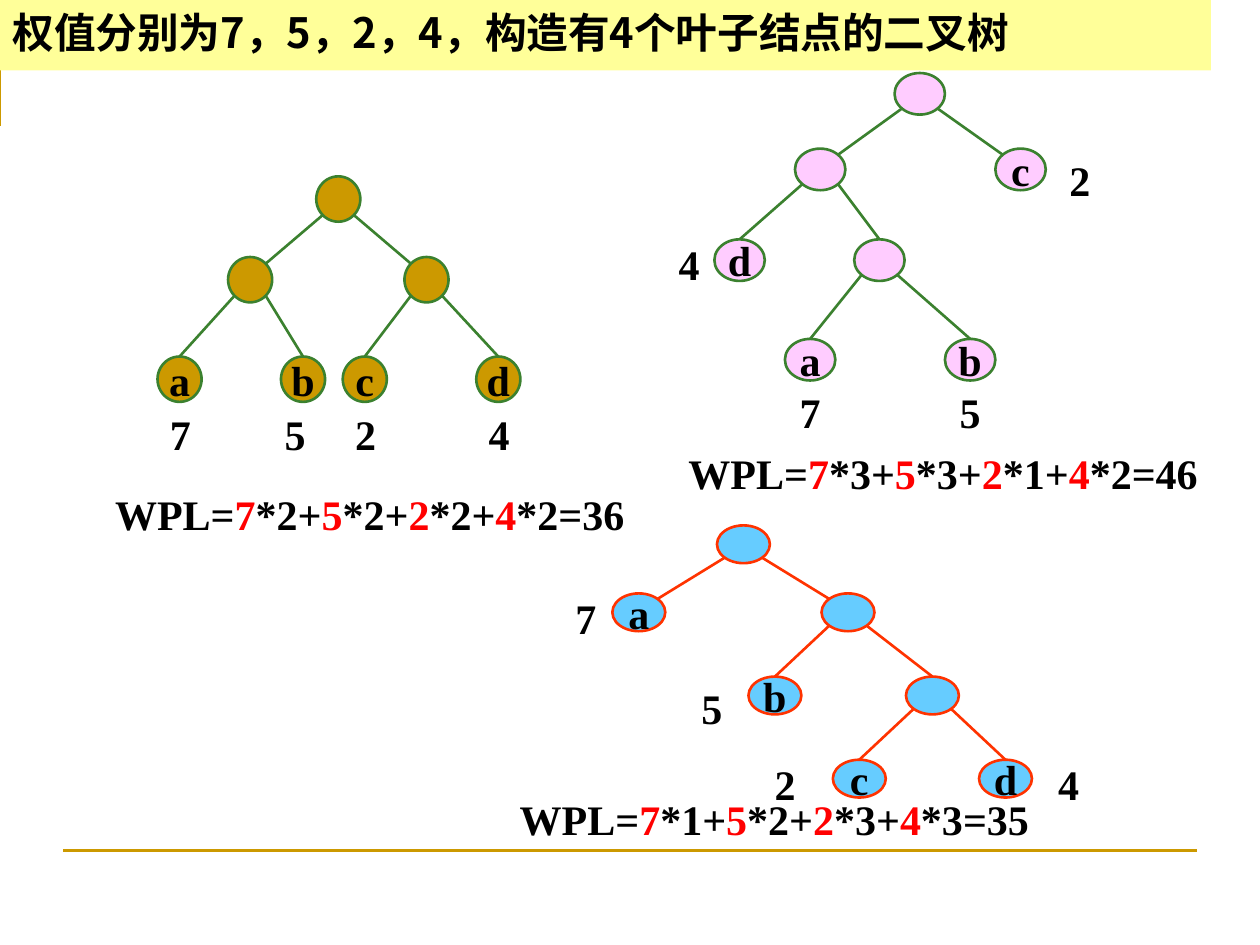
"""Build a slide comparing weighted path lengths of three binary trees."""
from math import sqrt

from lxml import etree
from pptx import Presentation
from pptx import util as u
from pptx.dml.color import RGBColor
from pptx.enum import shapes, text
from pptx.oxml import ns

COLORS = {"black": "000000", "red": "FF0000", "band": "FFFF99", "gold": "CC9900",
          "green": "3B812F", "pink": "FFCCFF", "sky": "66CCFF", "orange": "FF3300"}
LATIN, CHINESE = "Times New Roman", "Noto Sans CJK SC"
WIDTH, HEIGHT = 10, 7.5
LABEL_HEIGHT = 0.5
TITLE = "权值分别为7，5，2，4，构造有4个叶子结点的二叉树"

# Node: (left, row, parent index, leaf letter, weight, weight offset from the node)
TREES = [
    {"fill": "pink", "line": "green", "size": (0.4, 0.33), "rows": (0.58, 1.18, 1.9, 2.69),
     "nodes": [(7.1, 0, None), (6.31, 1, 0), (7.9, 1, 0, "c", "2", (0.47, 0)),
               (5.67, 2, 1, "d", "4", (-0.4, -0.06)), (6.78, 2, 1),
               (6.23, 3, 4, "a", "7", (0, 0.33)), (7.5, 3, 4, "b", "5", (0, 0.33))],
     "formula": ["WPL=", "7", "*3+", "5", "*3+", "2", "*1+", "4", "*2=46"],
     "formula_box": (5.36, 3.5, 4.25)},
    {"fill": "sky", "line": "orange", "size": (0.42, 0.3), "rows": (4.17, 4.71, 5.37, 6.03),
     "nodes": [(5.69, 0, None), (4.86, 1, 0, "a", "7", (-0.42, -0.06)), (6.52, 1, 0),
               (5.94, 2, 2, "b", "5", (-0.5, 0)), (7.19, 2, 2),
               (6.61, 3, 4, "c", "2", (-0.59, -0.06)), (7.77, 3, 4, "d", "4", (0.5, -0.06))],
     "formula": ["WPL=", "7", "*1+", "5", "*2+", "2", "*3+", "4", "*3=35"],
     "formula_box": (4.02, 6.25, 4.25)},
    {"fill": "gold", "line": "green", "size": (0.35, 0.36), "rows": (1.4, 2.04, 2.83),
     "nodes": [(2.51, 0, None), (1.81, 1, 0), (3.21, 1, 0),
               (1.25, 2, 1, "a", "7", (0, 0.36)), (2.23, 2, 1, "b", "5", (-0.07, 0.36)),
               (2.72, 2, 2, "c", "2", (0, 0.36)), (3.78, 2, 2, "d", "4", (0, 0.36))],
     "formula": ["WPL=", "7", "*2+", "5", "*2+", "2", "*2+", "4", "*2=36"],
     "formula_box": (0.77, 3.83, 4.33)},
]


def rgb(name):
    return RGBColor.from_string(COLORS[name])


def apply(target, values):
    for name, value in values.items():
        setattr(target, name, value)


def set_line(shape, color):
    shape.line.color.rgb = rgb(color)
    shape.line.width = u.Pt(1.5)


def write(shape, pieces, wrap=True):
    apply(shape.text_frame, {"word_wrap": wrap})
    paragraph = shape.text_frame.paragraphs[0]
    paragraph.alignment = text.PP_ALIGN.CENTER
    for index, piece in enumerate(pieces):
        run = paragraph.add_run()
        run.text = piece
        apply(run.font, {"size": u.Pt(24), "bold": True, "name": LATIN})
        run.font.color.rgb = rgb("red" if index % 2 else "black")


def add_line(container, start, end, color):
    points = [u.Inches(value) for value in (*start, *end)]
    line = container.add_connector(shapes.MSO_CONNECTOR.STRAIGHT, *points)
    set_line(line, color)
    etree.SubElement(line._element.spPr, ns.qn("a:effectLst"))


def add_label(container, left, top, width, pieces):
    box = container.add_textbox(*map(u.Inches, (left, top, width, LABEL_HEIGHT)))
    write(box, pieces)


def add_node(container, box, letter, tree):
    node = container.add_shape(shapes.MSO_SHAPE.OVAL, *map(u.Inches, box))
    node.shadow.inherit = False
    node.fill.solid()
    node.fill.fore_color.rgb = rgb(tree["fill"])
    set_line(node, tree["line"])
    if letter:
        node.text_frame.vertical_anchor = text.MSO_ANCHOR.MIDDLE
        write(node, [letter], wrap=False)


def add_tree(slide, tree):
    group = slide.shapes.add_group_shape().shapes
    width, height = tree["size"]
    reach_x, reach_y = width / sqrt(8), height / sqrt(8)
    centers = [(node[0] + width / 2, tree["rows"][node[1]] + height / 2)
               for node in tree["nodes"]]
    for (left, row, parent, *leaf), (x, y) in zip(tree["nodes"], centers):
        top = tree["rows"][row]
        add_node(group, (left, top, width, height), leaf[0] if leaf else None, tree)
        if parent is not None:
            parent_x, parent_y = centers[parent]
            side = 1 if x > parent_x else -1
            start = (parent_x + side * reach_x, parent_y + reach_y)
            end = (x - side * reach_x, y - reach_y) if parent == 0 else (x, top)
            add_line(group, start, end, tree["line"])
        if leaf:
            _, weight, (shift_x, shift_y) = leaf
            add_label(group, left + shift_x, top + shift_y, width, [weight])
    add_label(slide.shapes, *tree["formula_box"], tree["formula"])


def add_frame(slide):
    builder = slide.shapes.build_freeform(0.42, 0.92, scale=u.Inches(1))
    builder.add_line_segments([(0.42, 0.25), (9.42, 0.25)], close=False)
    corner = builder.convert_to_shape()
    corner.shadow.inherit = False
    corner.fill.background()
    set_line(corner, "gold")
    add_line(slide.shapes, (0.05 * WIDTH, 0.9 * HEIGHT), (0.95 * WIDTH, 0.9 * HEIGHT), "gold")


def add_title(slide):
    title = slide.shapes.title
    apply(title, {"left": 0, "top": 0, "width": u.Inches(9.61), "height": u.Inches(0.56)})
    title.fill.solid()
    title.fill.fore_color.rgb = rgb("band")
    apply(title.text_frame, {"text": TITLE, "word_wrap": True,
                             "auto_size": text.MSO_AUTO_SIZE.NONE,
                             "vertical_anchor": text.MSO_ANCHOR.MIDDLE})
    paragraph = title.text_frame.paragraphs[0]
    apply(paragraph, {"alignment": text.PP_ALIGN.LEFT, "line_spacing": 0.9})
    font = paragraph.runs[0].font
    apply(font, {"size": u.Pt(23.8), "bold": True, "name": CHINESE})
    font.color.rgb = rgb("black")
    etree.SubElement(font._element, ns.qn("a:ea"), typeface=CHINESE)
    slide.shapes._spTree.append(title._element)


def main():
    presentation = Presentation()
    apply(presentation, {"slide_width": u.Inches(WIDTH), "slide_height": u.Inches(HEIGHT)})
    slide = presentation.slides.add_slide(presentation.slide_layouts[5])
    add_frame(slide)
    for tree in TREES:
        add_tree(slide, tree)
    add_title(slide)
    presentation.save("out.pptx")


if __name__ == "__main__":
    main()
